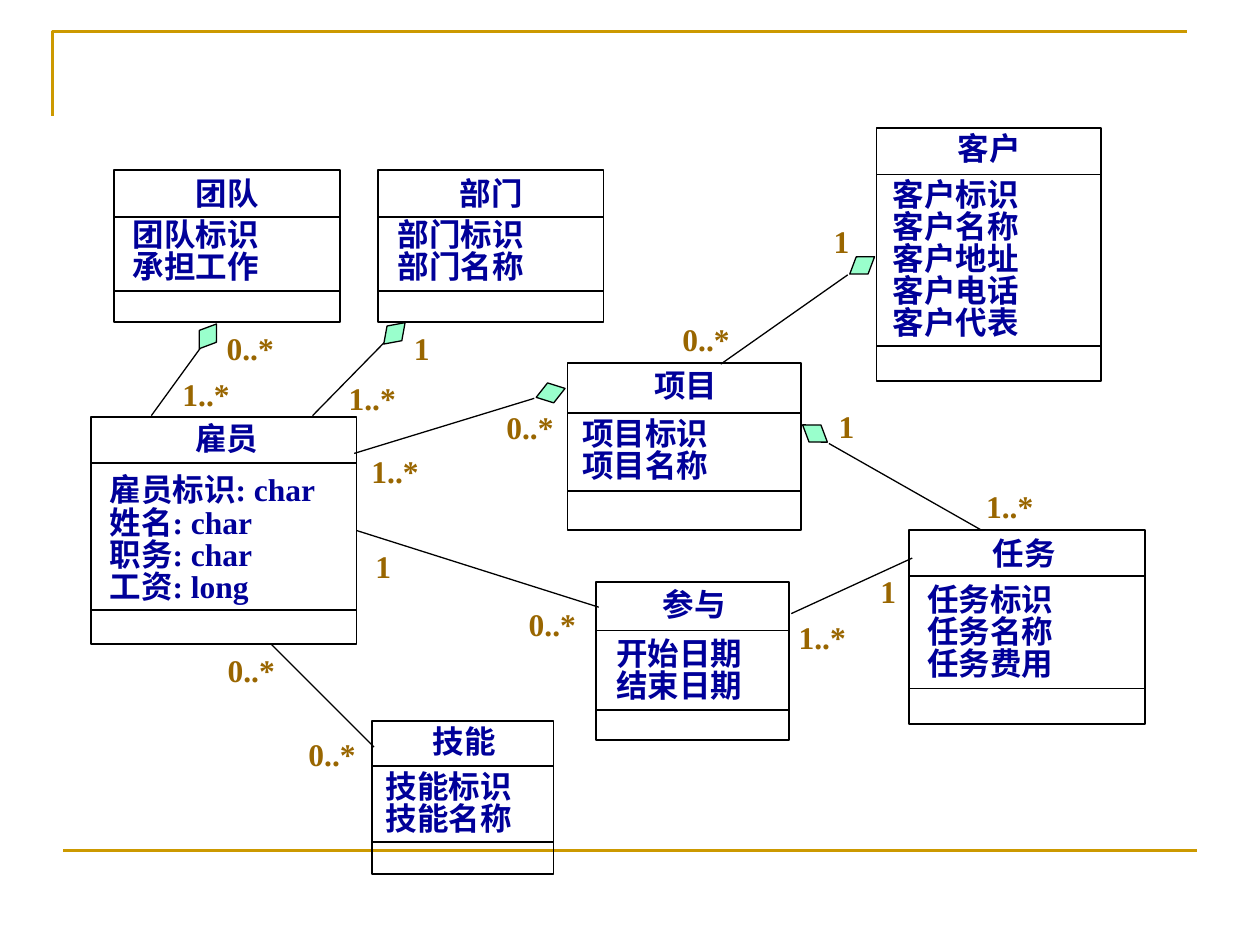
from dataclasses import dataclass

from lxml import etree
from pptx import Presentation
from pptx import util as u
from pptx.dml.color import RGBColor
from pptx.enum import shapes, text
from pptx.oxml.ns import qn


@dataclass(frozen=True)
class Theme:
    ink: str = "000000"
    frame: str = "CC9900"
    class_text: str = "000099"
    multiplicity: str = "996600"
    diamond: str = "99FFCC"
    name_font: str = "Comic Neue"
    body_font: str = "Times New Roman"
    text_size: float = 18
    frame_width: float = 1.5
    box_width: float = 1
    link_width: float = 0.75


THEME = Theme()
RIGHT_SIDE = 3
NAME_WIDTH, NAME_HEIGHT = 1.27, 0.76
ATTRIBUTE_WIDTH, ATTRIBUTE_HEIGHT = 2.54, 0.65
TYPED_WIDTH = 4.4
DIAMOND_WIDTH, DIAMOND_HEIGHT = 0.61, 0.42

# name, box (left, top, width, height), name offset (x, y), two dividers,
# attribute offset (x, y), attributes
CLASSES = [
    ("雇员", (1.83, 8.41, 5.36, 4.57), (2.11, 0.03), (0.92, 3.89),
     (0.38, 1.19), ["雇员标识: char", "姓名: char", "职务: char", "工资: long"]),
    ("项目", (11.44, 7.32, 4.71, 3.37), (1.75, 0.05), (1, 2.58),
     (0.3, 1.14), ["项目标识", "项目名称"]),
    ("参与", (12.01, 11.74, 3.9, 3.18), (1.35, 0.05), (0.97, 2.58),
     (0.41, 1.16), ["开始日期", "结束日期"]),
    ("任务", (18.33, 10.69, 4.75, 3.91), (1.68, 0.08), (0.92, 3.19),
     (0.36, 1.12), ["任务标识", "任务名称", "任务费用"]),
    ("技能", (7.5, 14.54, 3.66, 3.08), (1.22, 0.01), (0.9, 2.44),
     (0.28, 1.03), ["技能标识", "技能名称"]),
    ("团队", (2.3, 3.43, 4.55, 3.06), (1.65, 0.08), (0.95, 2.44),
     (0.38, 1.02), ["团队标识", "承担工作"]),
    ("部门", (7.62, 3.43, 4.55, 3.06), (1.65, 0.08), (0.95, 2.44),
     (0.4, 1.02), ["部门标识", "部门名称"]),
    ("客户", (17.67, 2.58, 4.52, 5.1), (1.64, 0.02), (0.94, 4.4),
     (0.33, 1.06), ["客户标识", "客户名称", "客户地址", "客户电话", "客户代表"]),
]

# start, end, multiplicities (text, left, top), diamond (centre x, y, angle)
ASSOCIATIONS = [
    ((15.95, 12.37), (18.39, 11.25),
     [("1..*", 15.85, 12.32), ("1", 17.5, 11.4)], None),
    ((5.46, 12.98), (7.54, 15.06),
     [("0..*", 4.34, 13), ("0..*", 5.97, 14.68)], None),
    ((4.06, 6.99), (3.05, 8.38),
     [("0..*", 4.32, 6.5), ("1..*", 3.43, 7.44)], (4.19, 6.78, 125)),
    ((7.77, 6.88), (6.3, 8.38),
     [("1", 8.1, 6.5), ("1..*", 6.78, 7.52)], (7.95, 6.72, 134.8)),
    ((10.77, 8.03), (7.14, 9.14),
     [("0..*", 9.96, 8.1), ("1..*", 7.24, 8.99)], (11.1, 7.92, 162.8)),
    ((17.09, 5.54), (14.53, 7.34),
     [("1", 16.56, 4.34), ("0..*", 13.51, 6.32)], (17.38, 5.35, 145.2)),
    ((16.71, 8.94), (19.79, 10.69),
     [("1", 16.66, 8.08), ("1..*", 19.63, 9.68)], (16.43, 8.74, 34.8)),
]
PARTICIPATION = ((7.19, 10.69), (12.07, 12.24),
                 [("1", 7.32, 10.9), ("0..*", 10.41, 12.07)], None)


def cm(*lengths):
    return [u.Cm(length) for length in lengths]


def style_outline(shape, fill=None, color=THEME.ink, width=THEME.box_width):
    shape.shadow.inherit = False
    if fill:
        shape.fill.solid()
        shape.fill.fore_color.rgb = RGBColor.from_string(fill)
    else:
        shape.fill.background()
    shape.line.color.rgb = RGBColor.from_string(color)
    shape.line.width = u.Pt(width)


def add_line(slide, start, end, color=THEME.ink, width=THEME.box_width):
    line = slide.shapes.add_connector(
        shapes.MSO_CONNECTOR.STRAIGHT, *cm(*start, *end))
    line.line.color.rgb = RGBColor.from_string(color)
    line.line.width = u.Pt(width)
    properties = line._element.find(qn("p:spPr"))
    etree.SubElement(properties, qn("a:effectLst"))
    return line


def add_text(slide, lines, box, font=THEME.body_font, color=THEME.class_text,
             align=text.PP_ALIGN.LEFT, spacing=1.0, inset=(0, 0)):
    label = slide.shapes.add_textbox(*cm(*box))
    frame = label.text_frame
    frame.word_wrap = False
    frame.auto_size = text.MSO_AUTO_SIZE.SHAPE_TO_FIT_TEXT
    frame.margin_left = frame.margin_right = u.Cm(inset[0])
    frame.margin_top = frame.margin_bottom = u.Cm(inset[1])
    frame.text = "\n".join(lines)
    for paragraph in frame.paragraphs:
        paragraph.alignment = align
        paragraph.line_spacing = spacing
        for run in paragraph.runs:
            run.font.name = font
            run.font.size = u.Pt(THEME.text_size)
            run.font.bold = True
            run.font.color.rgb = RGBColor.from_string(color)


def add_frame(slide, left, top, width, height):
    # Corner rule at the top, straight rule at the bottom
    corner = slide.shapes.build_freeform(*cm(left, top + 1.7))
    corner.add_line_segments(
        [cm(left, top), cm(left + width, top)], close=False)
    style_outline(corner.convert_to_shape(), color=THEME.frame,
                  width=THEME.frame_width)
    bottom = top + height
    add_line(slide, (left + 0.21, bottom), (left + 0.21 + width, bottom),
             THEME.frame, THEME.frame_width)


def add_class(slide, name, box, name_offset, dividers, offset, attributes):
    left, top, width, height = box
    outline = slide.shapes.add_shape(shapes.MSO_SHAPE.RECTANGLE, *cm(*box))
    style_outline(outline)
    for divider in dividers:
        add_line(slide, (left, top + divider), (left + width, top + divider))
    add_text(slide, [name],
             (left + name_offset[0], top + name_offset[1],
              NAME_WIDTH, NAME_HEIGHT), font=THEME.name_font)
    typed = any(":" in attribute for attribute in attributes)
    add_text(slide, attributes,
             (left + offset[0], top + offset[1],
              TYPED_WIDTH if typed else ATTRIBUTE_WIDTH,
              ATTRIBUTE_HEIGHT * len(attributes)), spacing=0.85)
    return outline


def add_association(slide, start, end, multiplicities, diamond):
    link = add_line(slide, start, end, width=THEME.link_width)
    if diamond:
        x, y, angle = diamond
        aggregate = slide.shapes.add_shape(
            shapes.MSO_SHAPE.DIAMOND,
            *cm(x - DIAMOND_WIDTH / 2, y - DIAMOND_HEIGHT / 2,
                DIAMOND_WIDTH, DIAMOND_HEIGHT))
        aggregate.rotation = angle
        style_outline(aggregate, THEME.diamond, width=THEME.link_width)
    for multiplicity, left, top in multiplicities:
        width = 0.81 if multiplicity == "1" else 1.45
        add_text(slide, [multiplicity], (left, top, width, 1.02),
                 color=THEME.multiplicity, align=text.PP_ALIGN.CENTER,
                 inset=(0.2, 0.13))
    return link


def main():
    deck = Presentation()
    deck.slide_width, deck.slide_height = cm(25.4, 19.05)
    slide = deck.slides.add_slide(deck.slide_layouts[6])
    add_frame(slide, 1.06, 0.63, 22.86, 16.52)

    # Classes, then the links between them
    outlines = {entry[0]: add_class(slide, *entry) for entry in CLASSES}
    for association in ASSOCIATIONS:
        add_association(slide, *association)
    participation = add_association(slide, *PARTICIPATION)
    participation.begin_connect(outlines["雇员"], RIGHT_SIDE)
    deck.save("out.pptx")


if __name__ == "__main__":
    main()
